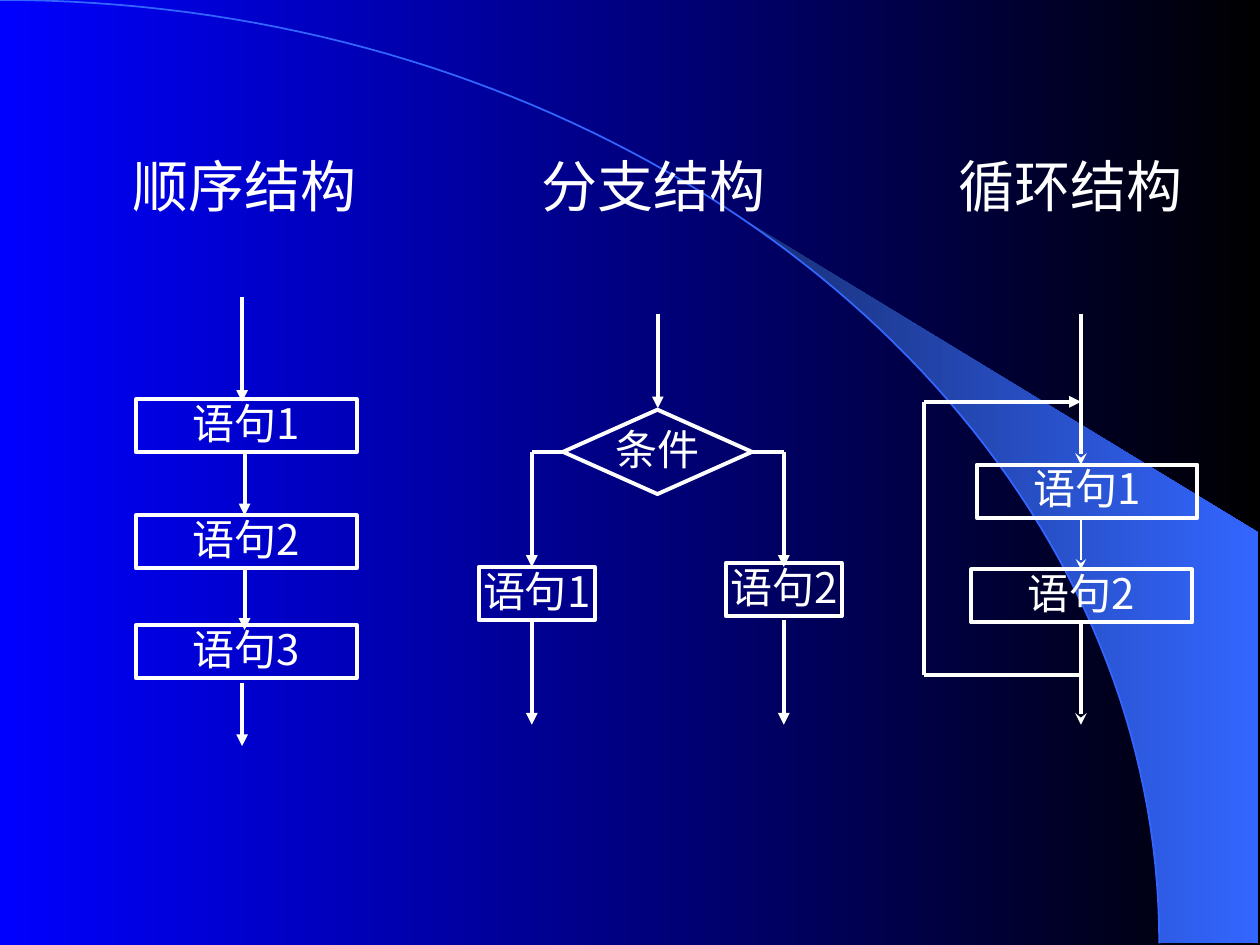
"""Build a slide comparing sequence, branch and loop flowcharts."""
from dataclasses import dataclass

import pptx
import pptx.dml.color
import pptx.enum.shapes
import pptx.enum.text
import pptx.oxml
import pptx.oxml.ns
import pptx.util

Cm = pptx.util.Cm
Pt = pptx.util.Pt
SHAPE = pptx.enum.shapes.MSO_SHAPE
ANCHOR = pptx.enum.text.MSO_ANCHOR
WHITE, SKY = "FFFFFF", "3366FF"
HAN_FONT = "Noto Sans CJK SC"


@dataclass
class Heading:
    text: str
    left: float
    width: float


@dataclass
class Node:
    text: str
    left: float
    top: float
    width: float = 4.45
    height: float = 1.07
    kind: int = SHAPE.RECTANGLE


@dataclass
class Link:
    start: tuple[float, float]
    end: tuple[float, float]
    head: str = "triangle"
    weight: float = 2.25


HEADINGS = [Heading("顺序结构", 2.24, 5.38), Heading("分支结构", 10.31, 5.74),
            Heading("循环结构", 18.62, 5.92)]
NODES = [
    Node("语句1", 2.74, 8.05), Node("语句2", 2.74, 10.39), Node("语句3", 2.74, 12.6),
    Node("条件", 11.35, 8.26, 3.81, 1.7, SHAPE.FLOWCHART_DECISION),
    Node("语句2", 14.63, 11.35, 2.34), Node("语句1", 9.65, 11.43, 2.34),
    Node("语句1", 19.69, 9.37), Node("语句2", 19.58, 11.48),
]
SEQUENCE_LINKS = [
    Link((4.88, 5.99), (4.88, 8.1)), Link((4.93, 9.12), (4.93, 10.39)),
    Link((4.93, 11.43), (4.93, 12.7)), Link((4.88, 13.77), (4.88, 15.04)),
]
BRANCH_LINKS = [Link((13.26, 6.32), (13.26, 8.23))]
for corner, side in ((11.35, 10.72), (15.16, 15.8)):
    BRANCH_LINKS += [
        Link((corner, 9.12), (side, 9.12), ""),
        Link((side, 9.12), (side, 11.43)),
        Link((side, 12.5), (side, 14.61)),
    ]
LOOP_LINKS = [
    Link((21.79, 6.32), (21.79, 9.37), "stealth"),
    Link((18.62, 13.61), (21.79, 13.61), ""),
    Link((18.62, 8.1), (18.62, 13.61), ""),
    Link((18.62, 8.1), (21.79, 8.1)),
    Link((21.79, 10.44), (21.79, 11.48), "stealth", 1),
    Link((21.79, 12.55), (21.79, 14.61), "stealth"),
]


def color(value: str) -> pptx.dml.color.RGBColor:
    """Turn a hex string into a colour."""
    return pptx.dml.color.RGBColor.from_string(value)


def apply(target: object, values: dict) -> None:
    """Set every attribute given in a dict of format values."""
    for name, value in values.items():
        setattr(target, name, value)


def add_element(parent, tag: str, **attributes: str) -> None:
    """Append a drawing element with the given attributes."""
    element = pptx.oxml.parse_xml(f"<a:{tag} {pptx.oxml.ns.nsdecls('a')}/>")
    for name, value in attributes.items():
        element.set(name, value)
    parent.append(element)


def shade(fill, start: str, end: str) -> None:
    """Fill with a gradient running from left to right."""
    fill.gradient()
    fill.gradient_angle = 0
    for stop, value in zip(fill.gradient_stops, (start, end)):
        stop.color.rgb = color(value)


def stroke(line, value: str, weight: float) -> None:
    """Give a line its colour and weight."""
    line.color.rgb = color(value)
    line.width = Pt(weight)


def write(box, text: str, size: float, font: str, frame_values: dict) -> None:
    """Put one centred white paragraph into a shape."""
    apply(box.text_frame, frame_values)
    para = box.text_frame.paragraphs[0]
    para.alignment = pptx.enum.text.PP_ALIGN.CENTER
    span = para.add_run()
    apply(span, {"text": text})
    apply(span.font, {"size": Pt(size), "name": font})
    span.font.color.rgb = color(WHITE)
    add_element(span.font._element, "ea", typeface=HAN_FONT)


def arc_point(t: float) -> tuple[int, int]:
    """Return the point at parameter t on the background arc."""
    first, second, third = 3 * t * (1 - t) ** 2, 3 * t ** 2 * (1 - t), t ** 3
    return (Cm(12.9 * first + 23.37 * (second + third)),
            Cm(8.51 * second + 19.02 * third))


def add_outline(page, points: list[tuple[int, int]], close: bool):
    """Draw a freeform through the points."""
    builder = page.shapes.build_freeform(*points[0])
    builder.add_line_segments(points[1:], close=close)
    outline = builder.convert_to_shape()
    outline.shadow.inherit = False
    return outline


def add_backdrop(page) -> None:
    """Draw the gradient background, the light beam and the arc."""
    shade(page.background.fill, "0000FF", "000000")
    edge = [arc_point(0.44 + 0.56 * step / 40) for step in range(41)]
    corners = [(Cm(25.37), Cm(19.02)), (Cm(25.37), Cm(10.74))]
    beam = add_outline(page, edge + corners, True)
    shade(beam.fill, "182F76", SKY)
    beam.line.fill.background()
    arc = add_outline(page, [arc_point(step / 80) for step in range(81)], False)
    arc.fill.background()
    stroke(arc.line, SKY, 1)


def add_heading(page, heading: Heading) -> None:
    """Draw a column heading."""
    box = page.shapes.add_textbox(Cm(heading.left), Cm(2.92), Cm(heading.width), Cm(1.47))
    write(box, heading.text, 32, "Times New Roman", {"word_wrap": True})


def add_node(page, node: Node) -> None:
    """Draw a flowchart node."""
    box = page.shapes.add_shape(node.kind, Cm(node.left), Cm(node.top),
                                Cm(node.width), Cm(node.height))
    box.shadow.inherit = False
    box.fill.background()
    stroke(box.line, WHITE, 2.25)
    write(box, node.text, 24, HAN_FONT, {
        "word_wrap": False, "vertical_anchor": ANCHOR.MIDDLE,
        "margin_top": 0, "margin_bottom": Cm(0.13)})


def add_link(page, link: Link) -> None:
    """Draw a straight line or arrow."""
    connector = page.shapes.add_connector(
        pptx.enum.shapes.MSO_CONNECTOR.STRAIGHT, *map(Cm, link.start + link.end))
    stroke(connector.line, WHITE, link.weight)
    if link.head:
        add_element(connector.line._get_or_add_ln(), "tailEnd", type=link.head)
    add_element(connector._element.spPr, "effectLst")


def main() -> None:
    """Build and save the deck."""
    deck = pptx.Presentation()
    apply(deck, {"slide_width": Cm(25.4), "slide_height": Cm(19.05)})
    page = deck.slides.add_slide(deck.slide_layouts[6])
    add_backdrop(page)
    for heading in HEADINGS:
        add_heading(page, heading)
    for node in NODES:
        add_node(page, node)
    for link in SEQUENCE_LINKS + BRANCH_LINKS + LOOP_LINKS:
        add_link(page, link)
    deck.save("out.pptx")


if __name__ == "__main__":
    main()
